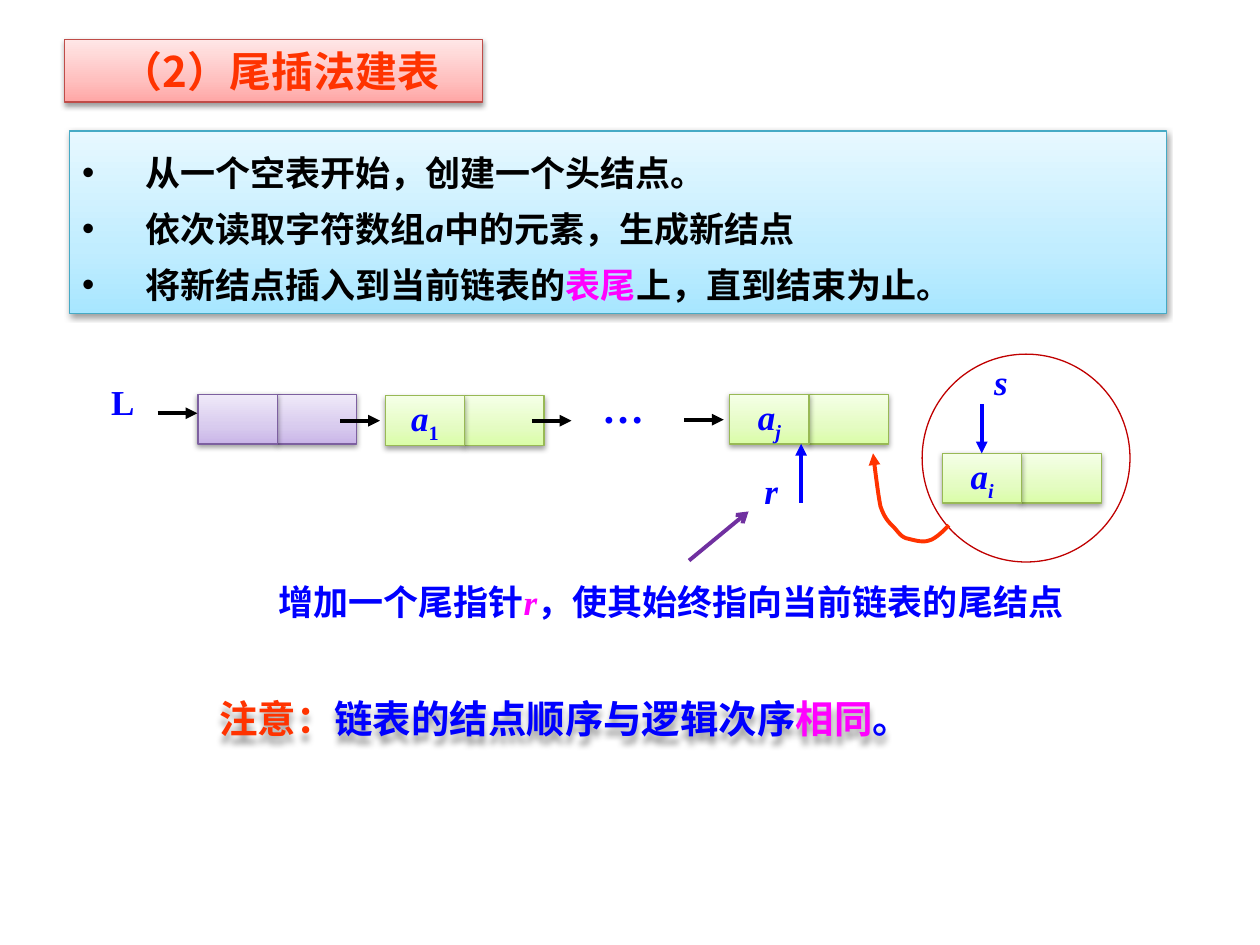
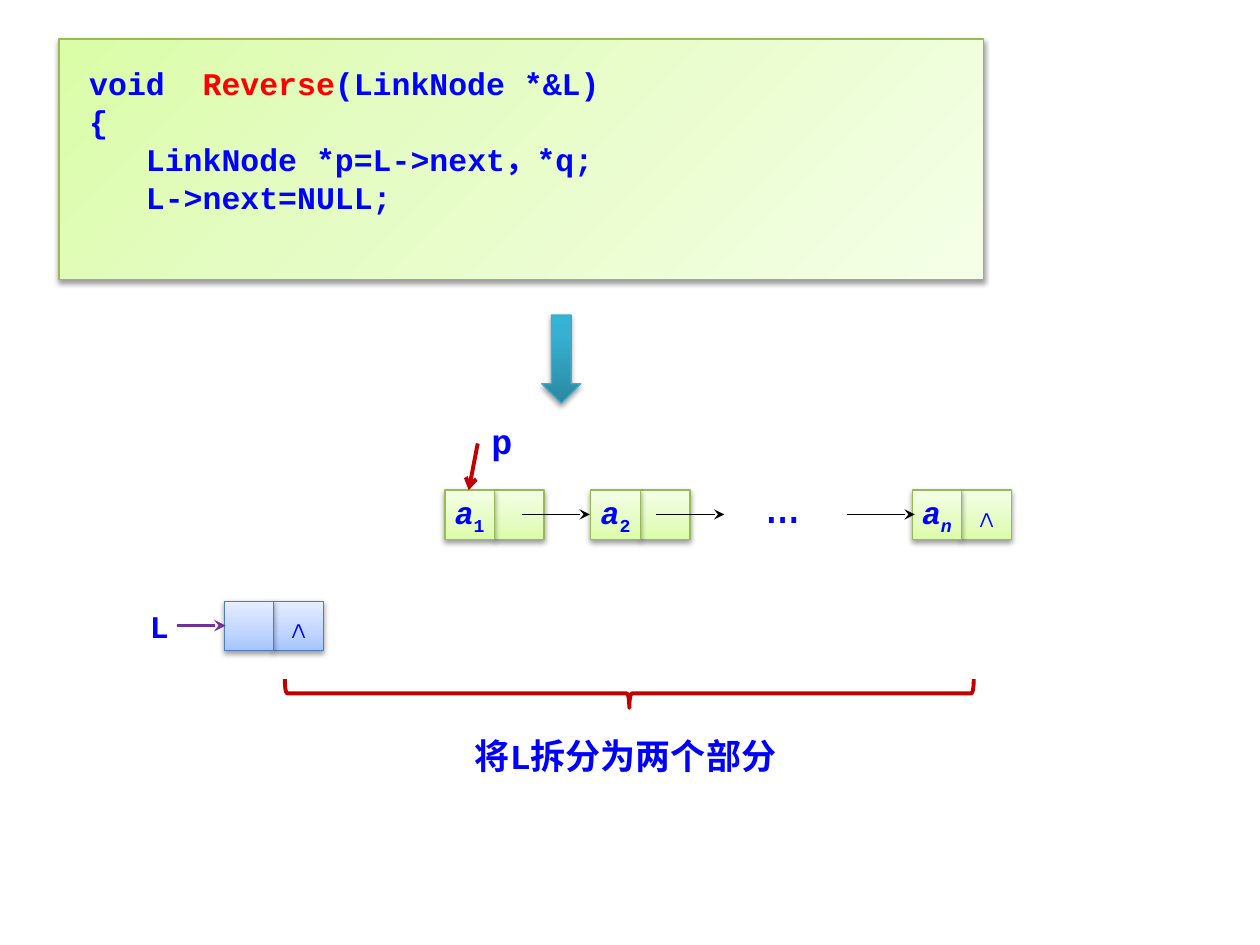
from lxml import etree
from pptx import Presentation
from pptx.dml.color import RGBColor
from pptx.enum.shapes import MSO_CONNECTOR, MSO_SHAPE
from pptx.enum.text import MSO_ANCHOR, MSO_AUTO_SIZE, PP_ALIGN
from pptx.oxml.ns import qn
from pptx.util import Cm, Pt

RECTANGLE, ELLIPSE = MSO_SHAPE.RECTANGLE, MSO_SHAPE.OVAL
DOWN_ARROW, RIGHT_BRACE = MSO_SHAPE.DOWN_ARROW, MSO_SHAPE.RIGHT_BRACE
STRAIGHT = MSO_CONNECTOR.STRAIGHT
TOP, MIDDLE = MSO_ANCHOR.TOP, MSO_ANCHOR.MIDDLE
LEFT, CENTER, JUSTIFY = PP_ALIGN.LEFT, PP_ALIGN.CENTER, PP_ALIGN.JUSTIFY

BLACK, BLUE, RED = "000000", "0000FF", "FF0000"
ORANGE, MAGENTA, CRIMSON, PURPLE = "FF3300", "FF00FF", "C00000", "7030A0"
SERIF, MONO, SANS, CHINESE = "Times New Roman", "Courier New", "Calibri", "Noto Sans CJK SC"

# Each theme: gradient colours, position of the middle stop, line colour
VIOLET_THEME = (("C9B5E8", "D8CBEE", "F0EAF9"), 35, "7D60A0")
GREEN_THEME = (("DAFDA7", "E4FCC2", "F5FFE7"), 35, "98B955")
BLUE_THEME = (("A4C4FF", "BFD4FF", "E6EEFF"), 35, "4B7EBC")
PINK_THEME = (("FFA6A5", "FFC0BF", "FFE7E7"), 35, "BF4C48")
SKY_THEME = (("A7E6FF", "C1EDFF", "E7F8FF"), 35, "46AAC5")
TEAL_THEME = (("2A88A2", "37B1D2", "34B4D6"), 80, "46AAC5")

CHAIN_CELL = (1.6, 1.0)
SPLIT_CELL = (1.0, 1.0)


def rgb(value):
    return RGBColor.from_string(value)


def sub(parent, tag, **attributes):
    return etree.SubElement(parent, qn(tag), {k: str(v) for k, v in attributes.items()})


def place(shape, left, top, width, height):
    shape.left, shape.top, shape.width, shape.height = map(Cm, (left, top, width, height))


def set_shadow(shape, blur=40000, distance=20000, alpha=38000):
    shape.shadow.inherit = False
    effects = shape.element.spPr.find(qn("a:effectLst"))
    outer = sub(effects, "a:outerShdw", blurRad=blur, dist=distance,
                dir=5400000, rotWithShape=0)
    sub(sub(outer, "a:srgbClr", val=BLACK), "a:alpha", val=alpha)


def set_line(shape, color, width):
    shape.line.color.rgb = rgb(color)
    shape.line.width = Pt(width)


def apply_theme(shape, theme, angle=270):
    """Gradient fill, thin outline and soft shadow."""
    colors, middle, outline = theme
    shape.fill.gradient()
    gradient = shape.element.spPr.find(qn("a:gradFill"))
    stops = gradient.find(qn("a:gsLst"))
    for stop in list(stops):
        stops.remove(stop)
    for color, position in zip(colors, (0, middle, 100)):
        sub(sub(stops, "a:gs", pos=position * 1000), "a:srgbClr", val=color)
    gradient.find(qn("a:lin")).set("ang", str(angle * 60000))
    set_line(shape, outline, 0.75)
    set_shadow(shape)


def format_run(run, font, size, color, bold=True, italic=False, baseline=0):
    run.font.size, run.font.bold, run.font.italic = Pt(size), bold, italic
    run.font.color.rgb = rgb(color)
    run.font.name = font
    properties = run.font._element
    if baseline:
        properties.set("baseline", str(baseline * 1000))
    if max(run.text) > "⺀":
        sub(properties, "a:ea", typeface=CHINESE)


def write(shape, *paragraphs, align=LEFT, anchor=TOP, wrap=True, spacing=None,
          hanging=None, margins=None, **style):
    """Fill a shape; a paragraph is a string or a list of strings and (text, changes)."""
    frame = shape.text_frame
    frame.word_wrap, frame.vertical_anchor = wrap, anchor
    frame.auto_size = MSO_AUTO_SIZE.NONE
    if margins:
        (frame.margin_left, frame.margin_top,
         frame.margin_right, frame.margin_bottom) = map(Cm, margins)
    for index, runs in enumerate(paragraphs):
        paragraph = frame.add_paragraph() if index else frame.paragraphs[0]
        paragraph.alignment = align
        paragraph.space_before = Pt(0)
        if spacing:
            paragraph.line_spacing = Pt(spacing)
        if hanging:
            properties = paragraph._p.get_or_add_pPr()
            properties.set("marL", str(Cm(hanging)))
            properties.set("indent", str(-Cm(hanging)))
        for item in [runs] if isinstance(runs, str) else runs:
            text, changes = (item, {}) if isinstance(item, str) else item
            run = paragraph.add_run()
            run.text = text
            format_run(run, **{**style, **changes})


def add_label(slide, box, *paragraphs, **style):
    label = slide.shapes.add_textbox(*map(Cm, box))
    write(label, *paragraphs, **style)
    return label


def add_panel(slide, box, theme, kind=RECTANGLE, angle=270):
    shape = slide.shapes.add_shape(kind, *map(Cm, box))
    apply_theme(shape, theme, angle)
    return shape


def add_outline(slide, kind, box, color, width):
    shape = slide.shapes.add_shape(kind, *map(Cm, box))
    shape.shadow.inherit = False
    shape.fill.background()
    set_line(shape, color, width)
    return shape


def add_head(shape, head):
    sub(shape.line._get_or_add_ln(), "a:tailEnd", type=head)


def add_arrow(slide, start, end, color=BLACK, width=2.25, head="triangle"):
    arrow = slide.shapes.add_connector(STRAIGHT, *map(Cm, (*start, *end)))
    set_line(arrow, color, width)
    add_head(arrow, head)
    sub(arrow.element.spPr, "a:effectLst")


def add_curved_arrow(slide, start, segments, color, steps=8):
    """Arrow along cubic segments, each given as two controls and an end."""
    points = [start]
    for first, second, end in segments:
        origin = points[-1]
        for step in range(1, steps + 1):
            t = step / steps
            u = 1 - t
            points.append(tuple(
                u**3 * a + 3 * u * u * t * b + 3 * u * t * t * c + t**3 * d
                for a, b, c, d in zip(origin, first, second, end)))
    points = [(Cm(x), Cm(y)) for x, y in points]
    builder = slide.shapes.build_freeform(*points[0])
    builder.add_line_segments(points[1:], close=False)
    curve = builder.convert_to_shape()
    curve.shadow.inherit = False
    curve.fill.background()
    set_line(curve, color, 2.25)
    add_head(curve, "triangle")


def add_node(slide, left, top, cell, theme, data=None, link=None, **style):
    """List node: a data cell and a link cell side by side."""
    width, height = cell
    for column, content in ((1, link), (0, data)):
        shape = add_panel(slide, (left + column * width, top, width, height), theme)
        if content:
            write(shape, content, align=CENTER, anchor=MIDDLE, wrap=False, **style)


def element(index, italic=False):
    """Runs for the element a with a subscript."""
    return [("a", {"italic": True}), (index, {"italic": italic, "baseline": -25})]


def add_chain(slide, left, top):
    """Linked list with its tail pointer r."""
    style = dict(font=SERIF, size=20, color=BLUE)
    add_node(slide, left + 2, top, CHAIN_CELL, VIOLET_THEME)
    add_node(slide, left + 5.78, top + 0.03, CHAIN_CELL, GREEN_THEME, element("1"), **style)
    add_node(slide, left + 12.72, top, CHAIN_CELL, GREEN_THEME, element("j", True), **style)
    for x, y in ((1.19, 0.38), (4.87, 0.53), (8.73, 0.53), (11.8, 0.51)):
        add_arrow(slide, (left + x, top + y), (left + x + 0.8, top + y))
    add_label(slide, (left, top - 0.41, 1.4, 1.09), "L", **style)
    add_label(slide, (left + 9.9, top - 0.38, 1.4, 1.27), "…", **{**style, "size": 24})
    add_label(slide, (left + 13.17, top + 1.4, 1.6, 1.09), "r", italic=True, **style)
    add_arrow(slide, (left + 14.16, top + 2.18), (left + 14.16, top + 1), BLUE)


def add_new_node(slide, left, top):
    """Circled node s and the arrow that moves it to the end of the list."""
    style = dict(font=SERIF, size=20, color=BLUE)
    add_outline(slide, ELLIPSE, (left, top, 4.19, 4.19), CRIMSON, 0.75)
    add_node(slide, left + 0.41, top + 2, CHAIN_CELL, GREEN_THEME, element("i", True), **style)
    add_arrow(slide, (left + 1.2, top + 1), (left + 1.2, top + 2), BLUE)
    add_label(slide, (left + 1.2, top, 1.6, 1.09), "s", italic=True, **style)
    segments = (((0.49, 3.5), (0.28, 3.73), (0.13, 3.76)),
                ((0, 3.81), (-0.23, 3.73), (-0.33, 3.71)),
                ((-0.45, 3.66), (-0.48, 3.58), (-0.58, 3.48)),
                ((-0.68, 3.38), (-0.76, 3.3), (-0.84, 3.07)),
                ((-0.89, 2.82), (-0.96, 2.23), (-0.99, 2)))
    add_curved_arrow(slide, (left + 0.54, top + 3.45),
                     [[(left + x, top + y) for x, y in segment] for segment in segments],
                     ORANGE)


def build_tail_insertion(presentation):
    slide = presentation.slides.add_slide(presentation.slide_layouts[1])
    title, body = slide.placeholders
    place(title, 1.3, 0.79, 8.43, 1.27)
    apply_theme(title, PINK_THEME)
    write(title, "（2）尾插法建表", align=CENTER, anchor=MIDDLE,
          margins=(0.5, 0.13, 0.25, 0.13), font=CHINESE, size=24, color=ORANGE)
    place(body, 1.4, 2.64, 22.12, 3.68)
    apply_theme(body, SKY_THEME)
    write(body,
          "从一个空表开始，创建一个头结点。",
          ["依次读取字符数组", ("a", {"italic": True}), "中的元素，生成新结点"],
          ["将新结点插入到当前链表的", ("表尾", {"color": MAGENTA}), "上，直到结束为止。"],
          spacing=32, hanging=1.27, font=SANS, size=20, color=BLACK)
    add_chain(slide, 1.99, 7.95)
    add_new_node(slide, 18.59, 7.14)
    add_label(slide, (5.36, 11.3, 17.07, 1.4),
              ["增加一个尾指针", ("r", {"color": MAGENTA, "italic": True}),
               "，使其始终指向当前链表的尾结点"],
              align=JUSTIFY, spacing=32, font=SERIF, size=20, color=BLUE)
    add_arrow(slide, (13.89, 11.3), (15.09, 10.31), PURPLE, head="arrow")
    remark = add_label(slide, (4.17, 13.89, 17.2, 1.19),
                       [("注意：", {"color": ORANGE}), "链表的结点顺序与逻辑次序",
                        ("相同", {"color": MAGENTA}), "。"],
                       font=CHINESE, size=22, color=BLUE)
    set_shadow(remark, 50000, 50000, 40000)


def add_code(slide, box):
    panel = add_panel(slide, box, GREEN_THEME, angle=45)
    write(panel,
          ["void  ", ("Reverse", {"color": RED}), "(LinkNode *&L)"],
          "{",
          "   LinkNode *p=L->next，*q;",
          "   L->next=NULL;",
          margins=(0.61, 0.51, 0.25, 0.51), font=MONO, size=18, color=BLUE)


def add_remaining_list(slide, left, top):
    """Nodes a1 to an, reached through p."""
    style = dict(font=MONO, size=18, color=BLUE)
    for x, data, link in ((0, element("1"), None), (2.94, element("2"), None),
                          (9.42, element("n", True), "∧")):
        add_node(slide, left + x, top, SPLIT_CELL, GREEN_THEME, data, link, **style)
    for x in (1.55, 4.26, 8.1):
        add_arrow(slide, (left + x, top + 0.49), (left + x + 1.37, top + 0.49),
                  width=0.75, head="stealth")
    add_label(slide, (left + 6.22, top - 0.58, 2, 1.6), "…",
              font=MONO, size=32, color=BLUE, bold=False)
    add_arrow(slide, (left + 0.66, top - 0.94), (left + 0.48, top), CRIMSON, head="arrow")
    add_label(slide, (left + 0.45, top - 1.55, 1.4, 1.12), "p", align=CENTER,
              font=MONO, size=20, color=BLUE)


def add_empty_list(slide, left, top):
    """Head node L with a null link."""
    style = dict(font=MONO, size=18, color=BLUE)
    add_label(slide, (left, top, 0.74, 1.02), "L", **style)
    add_node(slide, left + 1.75, top, SPLIT_CELL, BLUE_THEME, link="∧", **style)
    add_arrow(slide, (left + 0.79, top + 0.49), (left + 1.78, top + 0.49),
              PURPLE, head="stealth")


def add_brace(slide, left, top, width, height):
    """Brace lying on its side, pointing down."""
    shift = (width - height) / 2
    brace = add_outline(slide, RIGHT_BRACE, (left + shift, top - shift, height, width),
                        CRIMSON, 2.25)
    brace.rotation = 90


def build_reverse(presentation):
    slide = presentation.slides.add_slide(presentation.slide_layouts[6])
    add_code(slide, (1.19, 0.79, 18.64, 4.85))
    add_panel(slide, (10.92, 6.35, 0.79, 1.78), TEAL_THEME, DOWN_ARROW)
    add_remaining_list(slide, 8.97, 9.88)
    add_empty_list(slide, 2.77, 12.12)
    add_brace(slide, 5.74, 13.69, 13.89, 0.58)
    add_label(slide, (9.32, 14.68, 7.34, 1.12), "将L拆分为两个部分",
              font=MONO, size=20, color=BLUE)


def main():
    presentation = Presentation()
    presentation.slide_width, presentation.slide_height = Cm(25.4), Cm(19.05)
    build_tail_insertion(presentation)
    build_reverse(presentation)
    presentation.save("out.pptx")


if __name__ == "__main__":
    main()
